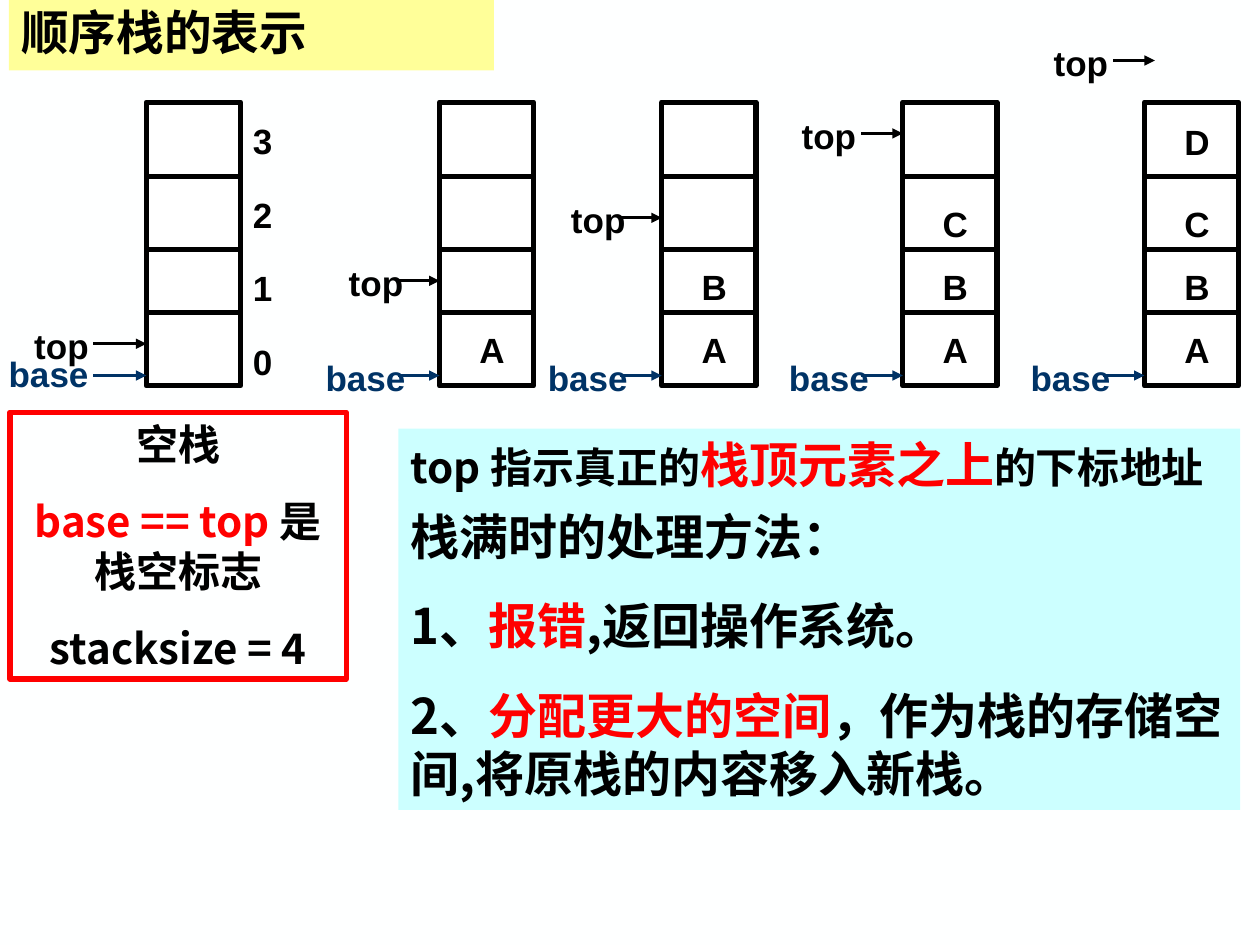
from lxml.etree import SubElement
from pptx import Presentation
from pptx.dml.color import RGBColor
from pptx.enum.shapes import MSO_CONNECTOR, MSO_SHAPE
from pptx.enum.text import MSO_ANCHOR, MSO_AUTO_SIZE, PP_ALIGN
from pptx.oxml.ns import qn
from pptx.util import Cm, Pt

BLACK, NAVY, RED, CYAN = "000000", "003366", "FF0000", "CCFFFF"
CJK = "Noto Sans CJK SC"
color = RGBColor.from_string


def add_text(parent, frame, paragraphs, size=20, font="Arial", ink=BLACK, align=PP_ALIGN.LEFT,
             gap=0, spacing=None, fill=None, border=None, anchor=MSO_ANCHOR.TOP, grow=True):
    frame = [Cm(length) for length in frame]
    if fill or border:
        box = parent.add_shape(MSO_SHAPE.RECTANGLE, *frame)
        box.shadow.inherit = False
        box.fill.background()
        box.line.fill.background()
        if fill:
            box.fill.solid()
            box.fill.fore_color.rgb = color(fill)
        if border:
            box.line.color.rgb = color(border)
            box.line.width = Pt(3)
    else:
        box = parent.add_textbox(*frame)
    body = box.text_frame
    body.word_wrap = True
    body.vertical_anchor = anchor
    body.auto_size = MSO_AUTO_SIZE.SHAPE_TO_FIT_TEXT if grow else MSO_AUTO_SIZE.NONE
    for index, pieces in enumerate(paragraphs):
        paragraph = body.add_paragraph() if index else body.paragraphs[0]
        paragraph.alignment = align
        paragraph.line_spacing = spacing
        if index:
            paragraph.space_before = Pt(gap)
        for words, *style in pieces:
            run = paragraph.add_run()
            run.text = words
            run.font.bold = True
            run.font.name = font
            run.font.color.rgb = color(style[0] if style else ink)
            run.font.size = Pt(style[1] if len(style) > 1 else size)
            SubElement(run.font._element, qn("a:ea")).set("typeface", font)


def add_line(parent, x1, x2, y, ink=BLACK, width=3, arrow=False):
    line = parent.add_connector(MSO_CONNECTOR.STRAIGHT, Cm(x1), Cm(y), Cm(x2), Cm(y))
    line.line.color.rgb = color(ink)
    line.line.width = Pt(width)
    if arrow:
        SubElement(line.line._get_or_add_ln(), qn("a:tailEnd")).set("type", "triangle")
    SubElement(line._element.spPr, qn("a:effectLst"))


presentation = Presentation()
presentation.slide_width, presentation.slide_height = Cm(25.4), Cm(19.05)
slide = presentation.slides.add_slide(presentation.slide_layouts[6])
slide.background.fill.solid()
slide.background.fill.fore_color.rgb = color("FEFFFF")

add_text(slide.shapes, (0.18, 0, 9.78, 1.42), [[("顺序栈的表示",)]], size=27.2, font=CJK,
         spacing=0.9, fill="FFFF99", anchor=MSO_ANCHOR.MIDDLE, grow=False)

add_text(slide.shapes, (0.2, 8.31, 6.78, 5.38),
         [[("空栈",)], [("base == top ", RED), ("是栈空标志",)], [("stacksize = 4",)]],
         size=24, font=CJK, align=PP_ALIGN.CENTER, gap=15, border=RED)

stack_top, stack_width, stack_height = 2.06, 1.9, 5.72
dividers = [3.56, 5.03, 6.3]
base_y = 7.57
letter_tops = [6.5, 5.23, 3.96, 2.31]
label_width, label_height = 3.38, 1.12

stacks = [
    (2.95, "", 6.93, -3.4, -3.66, 6.99, 1.07, 0),
    (8.86, "A", 5.66, -2.97, -3.18, 7.06, 0.84, 0),
    (13.34, "AB", 4.39, -2.97, -3.18, 7.06, 0.84, 0),
    (18.2, "ABC", 2.69, -3.18, -3.18, 7.06, 0.84, 0),
    (23.07, "ABCD", 1.22, -2.97, -3.18, 7.06, 0.84, 0.21),
]
for left, letters, top_y, top_offset, base_offset, base_label_y, reach, top_shift in stacks:
    stack = slide.shapes.add_group_shape().shapes
    add_text(stack, (left + top_offset, top_y - 0.51, label_width, label_height), [[("top",)]],
             align=PP_ALIGN.CENTER)
    add_text(stack, (left + base_offset, base_label_y, label_width, label_height), [[("base",)]],
             ink=NAVY, align=PP_ALIGN.CENTER)
    cells = stack.add_shape(MSO_SHAPE.RECTANGLE, Cm(left), Cm(stack_top),
                            Cm(stack_width), Cm(stack_height))
    cells.shadow.inherit = False
    cells.fill.solid()
    cells.fill.fore_color.rgb = color("FFFFFF")
    cells.line.color.rgb = color(BLACK)
    cells.line.width = Pt(3)
    for divider_y in dividers:
        add_line(stack, left, left + stack_width, divider_y)
    add_line(stack, left - reach, left, base_y, ink=NAVY, width=1.5, arrow=True)
    add_line(stack, left - reach + top_shift, left + top_shift, top_y, width=1.5, arrow=True)
    for letter, letter_top in zip(letters, letter_tops):
        add_text(stack, (left + 0.21, letter_top, 1.7, label_height), [[(letter,)]],
                 align=PP_ALIGN.CENTER)
    if not letters:
        for row, index in enumerate("3210"):
            add_text(stack, (left + stack_width, 2.29 + row * 1.48, 0.84, label_height),
                     [[(index,)]])

add_text(slide.shapes, (8.03, 8.64, 16.97, 1.45),
         [[("top 指示真正的",), ("栈顶元素之上", RED, 28), ("的下标地址",)]],
         size=24, font=CJK, fill=CYAN)
add_text(slide.shapes, (8.03, 10.08, 16.97, 6.25),
         [[("栈满时的处理方法：",)],
          [("1、",), ("报错", RED), (",返回操作系统。",)],
          [("2、",), ("分配更大的空间", RED), ("，作为栈的存储空间,将原栈的内容移入新栈。",)]],
         size=28, font=CJK, gap=17.5, fill=CYAN)

presentation.save("out.pptx")
